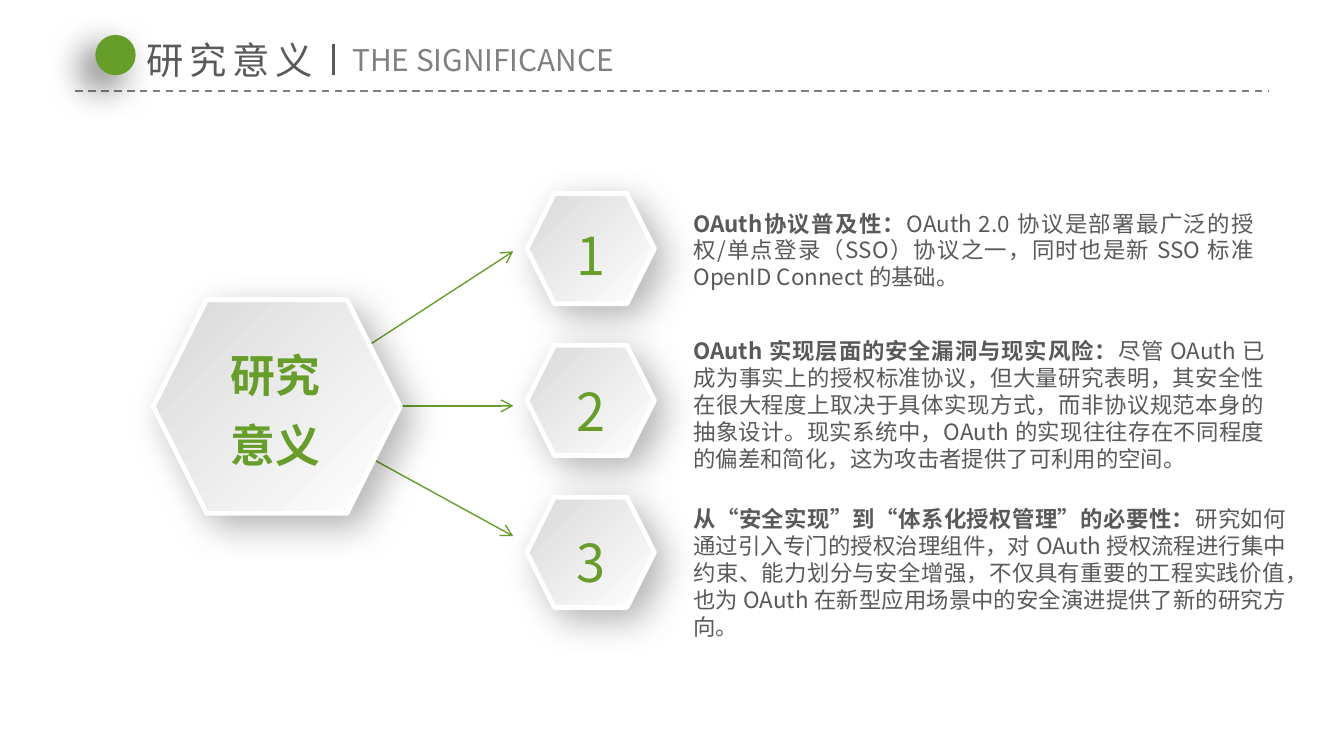
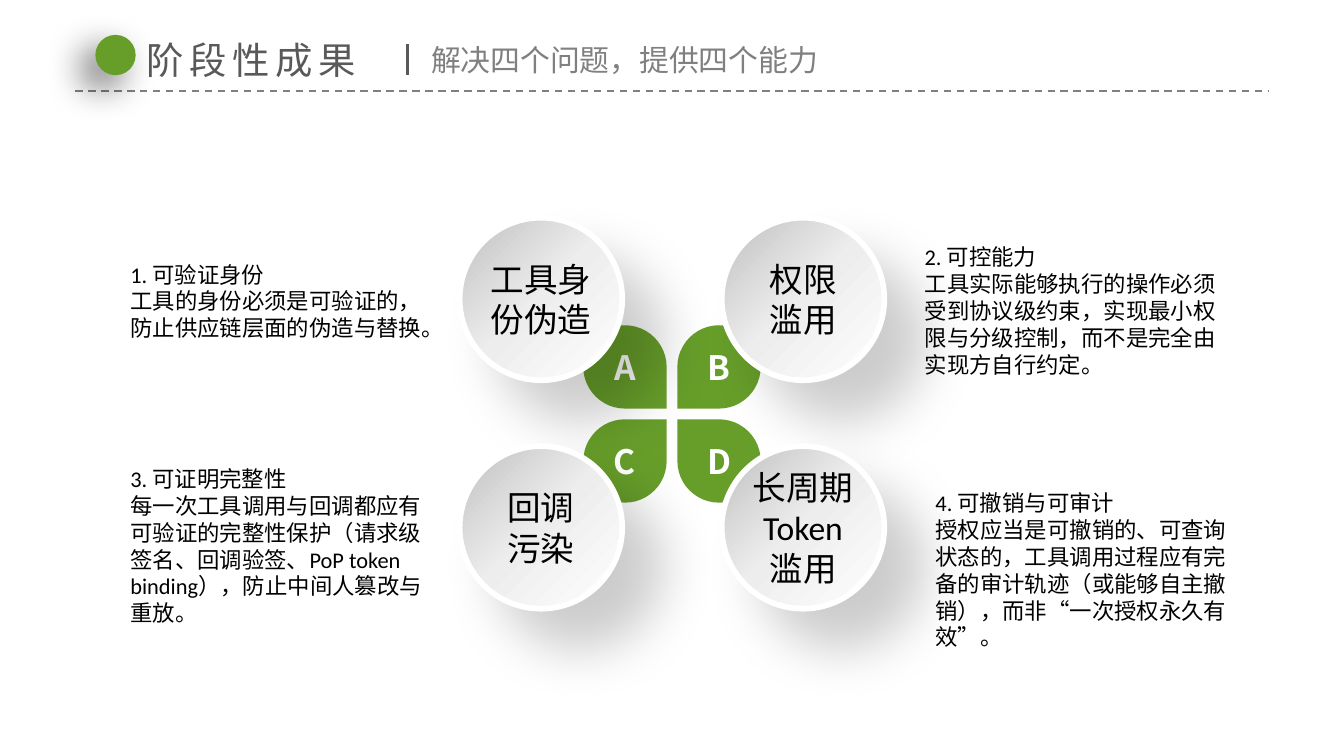
from dataclasses import dataclass

from lxml import etree
from pptx import Presentation
from pptx.dml.color import RGBColor
from pptx.enum.dml import MSO_LINE
from pptx.enum.shapes import MSO_CONNECTOR, MSO_SHAPE
from pptx.enum.text import MSO_ANCHOR, MSO_AUTO_SIZE, PP_ALIGN
from pptx.oxml.ns import qn
from pptx.util import Inches, Pt

STRAIGHT = MSO_CONNECTOR.STRAIGHT
DASH = MSO_LINE.DASH
ELLIPSE, HEXAGON = MSO_SHAPE.OVAL, MSO_SHAPE.HEXAGON
TEARDROP, RECTANGLE = MSO_SHAPE.TEAR, MSO_SHAPE.RECTANGLE
LEFT, CENTER, JUSTIFY = PP_ALIGN.LEFT, PP_ALIGN.CENTER, PP_ALIGN.JUSTIFY
TOP, MIDDLE = MSO_ANCHOR.TOP, MSO_ANCHOR.MIDDLE
FIT, FIXED = MSO_AUTO_SIZE.SHAPE_TO_FIT_TEXT, MSO_AUTO_SIZE.NONE
TITLE_ONLY = 5

# The page is a grid of 100 columns by 56.25 rows of square cells
COLUMNS, ROWS = 100, 56.25
CELL = Inches(0.1)


@dataclass(frozen=True)
class Theme:
    green: str = "679E2A"
    white: str = "FFFFFF"
    black: str = "000000"
    dark: str = "595959"
    gray: str = "808080"
    heading_font: str = "Noto Sans CJK SC"
    label_font: str = "Calibri"
    title_size: int = 20
    subtitle_size: int = 16
    body_size: int = 12
    core_size: int = 24
    number_size: int = 28
    label_size: int = 18
    hexagon_stops: tuple = ((0, "D9D9D9"), (100, "FFFFFF"))
    circle_stops: tuple = ((0, "C0C0C0"), (49, "EDEDED"), (100, "FFFFFF"))
    # Shadows: opacity in percent, blur and distance in points, angle
    dot_shadow: tuple = (60, 20, 10, 135)
    hexagon_shadow: tuple = (30, 20, 8, 45)
    circle_shadow: tuple = (20, 29, 29, 45)


THEME = Theme()

REASONS = [  # bold lead, text, number top, text top, text width, text height
    ("OAuth协议普及性：",
     "OAuth 2.0 协议是部署最广泛的授权/单点登录（SSO）协议之一，同时也是新 SSO 标准 OpenID Connect 的基础。",
     14.7, 15.6, 41.7, 6.1),
    ("OAuth 实现层面的安全漏洞与现实风险：",
     "尽管 OAuth 已成为事实上的授权标准协议，但大量研究表明，其安全性在很大程度上取决于具体实现方式，"
     "而非协议规范本身的抽象设计。现实系统中，OAuth 的实现往往存在不同程度的偏差和简化，"
     "这为攻击者提供了可利用的空间。",
     26.3, 25.1, 42.5, 10.1),
    ("从“安全实现”到“体系化授权管理”的必要性：",
     "研究如何通过引入专门的授权治理组件，对 OAuth 授权流程进行集中约束、能力划分与安全增强，"
     "不仅具有重要的工程实践价值，也为 OAuth 在新型应用场景中的安全演进提供了新的研究方向。",
     37.6, 37.6, 44.1, 10.1),
]

PROBLEMS = [  # letter, petal rotation, circle label, heading, text, text box
    ("A", 90, ["工具身份伪造"], "1. 可验证身份",
     "工具的身份必须是可验证的，防止供应链层面的伪造与替换。", (9, 18.4, 23.5, 7.4)),
    ("B", 180, ["权限", "滥用"], "2. 可控能力",
     "工具实际能够执行的操作必须受到协议级约束，实现最小权限与分级控制，而不是完全由实现方自行约定。",
     (68.1, 17.1, 23.5, 11.4)),
    ("C", 0, ["回调", "污染"], "3. 可证明完整性",
     "每一次工具调用与回调都应有可验证的完整性保护（请求级签名、回调验签、PoP token binding），防止中间人篡改与重放。",
     (9, 33.6, 23.5, 13.5)),
    ("D", 270, ["长周期 Token 滥用"], "4. 可撤销与可审计",
     "授权应当是可撤销的、可查询状态的，工具调用过程应有完备的审计轨迹（或能够自主撤销），而非“一次授权永久有效”。",
     (68.9, 35.4, 23.5, 13.5)),
]


def cells(*counts):
    return [round(count * CELL) for count in counts]


def rgb(color):
    return RGBColor.from_string(color)


def add_element(parent, tag, **attributes):
    values = {name: str(value) for name, value in attributes.items()}
    return etree.SubElement(parent, qn(tag), values)


# Text: each paragraph is a string, or a list of (string, bold) runs
def write_text(shape, paragraphs, *, size, color, font=THEME.heading_font,
               bold=False, align=LEFT, spacing=None, tracking=None, wrap=False,
               anchor=TOP, auto_size=FIT, insets=(1, 0.5)):
    frame = shape.text_frame
    frame.word_wrap, frame.auto_size = wrap, auto_size
    frame.vertical_anchor = anchor
    frame.margin_left = frame.margin_right = cells(insets[0])[0]
    frame.margin_top = frame.margin_bottom = cells(insets[1])[0]
    for index, runs in enumerate(paragraphs):
        paragraph = frame.add_paragraph() if index else frame.paragraphs[0]
        paragraph.alignment = align
        if spacing:
            paragraph.line_spacing = spacing
        for text, strong in [(runs, bold)] if isinstance(runs, str) else runs:
            run = paragraph.add_run()
            run.text = text
            run.font.size, run.font.bold = Pt(size), strong
            run.font.color.rgb = rgb(color)
            run.font.name = font
            properties = run.font._element
            add_element(properties, "a:ea", typeface=THEME.heading_font)
            if tracking:
                properties.set("spc", str(tracking * 100))
    return frame


def add_text(slide, box, paragraphs, **text_format):
    shape = slide.shapes.add_textbox(*cells(*box))
    return write_text(shape, paragraphs, **text_format)


# Shapes
def add_solid(slide, kind, box, fill, rotation=0):
    shape = slide.shapes.add_shape(kind, *cells(*box))
    shape.shadow.inherit = False
    shape.fill.solid()
    shape.fill.fore_color.rgb = rgb(fill)
    shape.line.fill.background()
    shape.rotation = rotation
    return shape


def set_shadow(shape, opacity, blur, distance, angle):
    effects = shape.element.spPr.find(qn("a:effectLst"))
    shadow = add_element(effects, "a:outerShdw", blurRad=Pt(blur), dist=Pt(distance),
                         dir=angle * 60000, algn="ctr", rotWithShape=0)
    color = add_element(shadow, "a:srgbClr", val=THEME.black)
    add_element(color, "a:alpha", val=opacity * 1000)


def add_raised(slide, kind, box, stops, rim, shadow):
    """A light plate with a diagonal gradient, a white rim and a shadow."""
    shape = add_solid(slide, kind, box, THEME.white)
    shape.fill.gradient()
    shape.fill.gradient_angle = 315
    stop_list = shape.element.spPr.find(qn("a:gradFill")).find(qn("a:gsLst"))
    for stop in list(stop_list):
        stop_list.remove(stop)
    for position, color in stops:
        stop = add_element(stop_list, "a:gs", pos=position * 1000)
        add_element(stop, "a:srgbClr", val=color)
    shape.line.color.rgb = rgb(THEME.white)
    shape.line.width = Pt(rim)
    set_shadow(shape, *shadow)
    return shape


def add_line(slide, start, end, color, width, dash=None, arrow=False):
    line = slide.shapes.add_connector(STRAIGHT, *cells(*start, *end))
    line.line.color.rgb = rgb(color)
    line.line.width = Pt(width)
    if dash:
        line.line.dash_style = dash
    if arrow:
        add_element(line.line._get_or_add_ln(), "a:tailEnd", type="arrow")
    add_element(line.element.spPr, "a:effectLst")


# Shared heading of every slide
def add_titled_slide(presentation, title, title_width, subtitle, subtitle_box,
                     divider, subtitle_align):
    slide = presentation.slides.add_slide(presentation.slide_layouts[TITLE_ONLY])
    add_line(slide, (5.6, 6.8), (COLUMNS - 5.6, 6.8), THEME.gray, 1, dash=DASH)
    dot = add_solid(slide, ELLIPSE, (7.1, 2.6, 3, 3), THEME.green)
    set_shadow(dot, *THEME.dot_shadow)
    heading = slide.shapes.title
    heading.left, heading.top, heading.width, heading.height = cells(
        9.9, 2.3, title_width, 4.4)
    write_text(heading, [title], size=THEME.title_size, color=THEME.dark, tracking=3)
    add_text(slide, subtitle_box, [subtitle], size=THEME.subtitle_size,
             color=THEME.gray, align=subtitle_align)
    add_line(slide, (divider, 3.3), (divider, 5.6), THEME.dark, 1.5)
    return slide


def build_significance(presentation):
    slide = add_titled_slide(presentation, "研究意义", 14.9, "THE SIGNIFICANCE",
                             (24.7, 2.6, 22.5, 3.7), 24.8, CENTER)
    # Arrows start under the centre of the large hexagon
    for end_row in (18.7, 30.2, 39.9):
        add_line(slide, (20.5, 30.2), (38.2, end_row), THEME.green, 0.75, arrow=True)
    plate = dict(stops=THEME.hexagon_stops, rim=2.5, shadow=THEME.hexagon_shadow)
    add_raised(slide, HEXAGON, (11.4, 22.3, 18.4, 15.9), **plate)
    add_text(slide, (16.1, 24.2, 8.8, 11.5), ["研究", "意义"], size=THEME.core_size,
             color=THEME.green, bold=True, align=CENTER, spacing=1.3)
    # Numbered reasons
    for index, (lead, text, number_top, top, width, height) in enumerate(REASONS):
        add_raised(slide, HEXAGON, (39.2, 14.4 + 11.3 * index, 9.5, 8.2), **plate)
        add_text(slide, (41.8, number_top, 4.3, 6.5), [str(index + 1)],
                 size=THEME.number_size, color=THEME.green, align=CENTER, spacing=1.3)
        add_text(slide, (51.6, top, width, height), [[(lead, True), (text, False)]],
                 size=THEME.body_size, color=THEME.dark, align=JUSTIFY, wrap=True,
                 insets=(0, 0))


def build_results(presentation):
    slide = add_titled_slide(presentation, "阶段性成果", 18, "解决四个问题，提供四个能力",
                             (31.1, 2.6, 30.9, 3.7), 30.3, LEFT)
    # Descriptions and lettered petals
    for index, (letter, rotation, _, heading, text, box) in enumerate(PROBLEMS):
        row, column = divmod(index, 2)
        frame = add_text(slide, box, [heading, text], size=THEME.body_size,
                         color=THEME.black, font=THEME.label_font, wrap=True,
                         insets=(0.7, 0.4))
        frame.paragraphs[0].alignment = JUSTIFY
        frame.paragraphs[0].line_spacing = 1.3
        left, top = 43.4 + 7 * column, 24.2 + 7 * row
        add_solid(slide, TEARDROP, (left, top, 6.2, 6.2), THEME.green, rotation)
        badge = add_solid(slide, RECTANGLE, (left + 1.2, top + 1.1, 3.8, 4), THEME.green)
        write_text(badge, [letter], size=THEME.label_size, color=THEME.white,
                   bold=True, align=CENTER, anchor=MIDDLE)
    # Circles lie over the petals
    for index, (_, _, label, _, _, _) in enumerate(PROBLEMS):
        row, column = divmod(index, 2)
        circle = add_raised(slide, ELLIPSE,
                            (34.2 + 19.5 * column, 16.2 + 17 * row, 12.1, 12.1),
                            THEME.circle_stops, 3, THEME.circle_shadow)
        write_text(circle, label, size=THEME.label_size, color=THEME.black,
                   font=THEME.label_font, align=CENTER, wrap=True, anchor=MIDDLE,
                   auto_size=FIXED, insets=(0, 0.4))


def main():
    presentation = Presentation()
    presentation.slide_width, presentation.slide_height = cells(COLUMNS, ROWS)
    build_significance(presentation)
    build_results(presentation)
    presentation.save("out.pptx")


if __name__ == "__main__":
    main()
